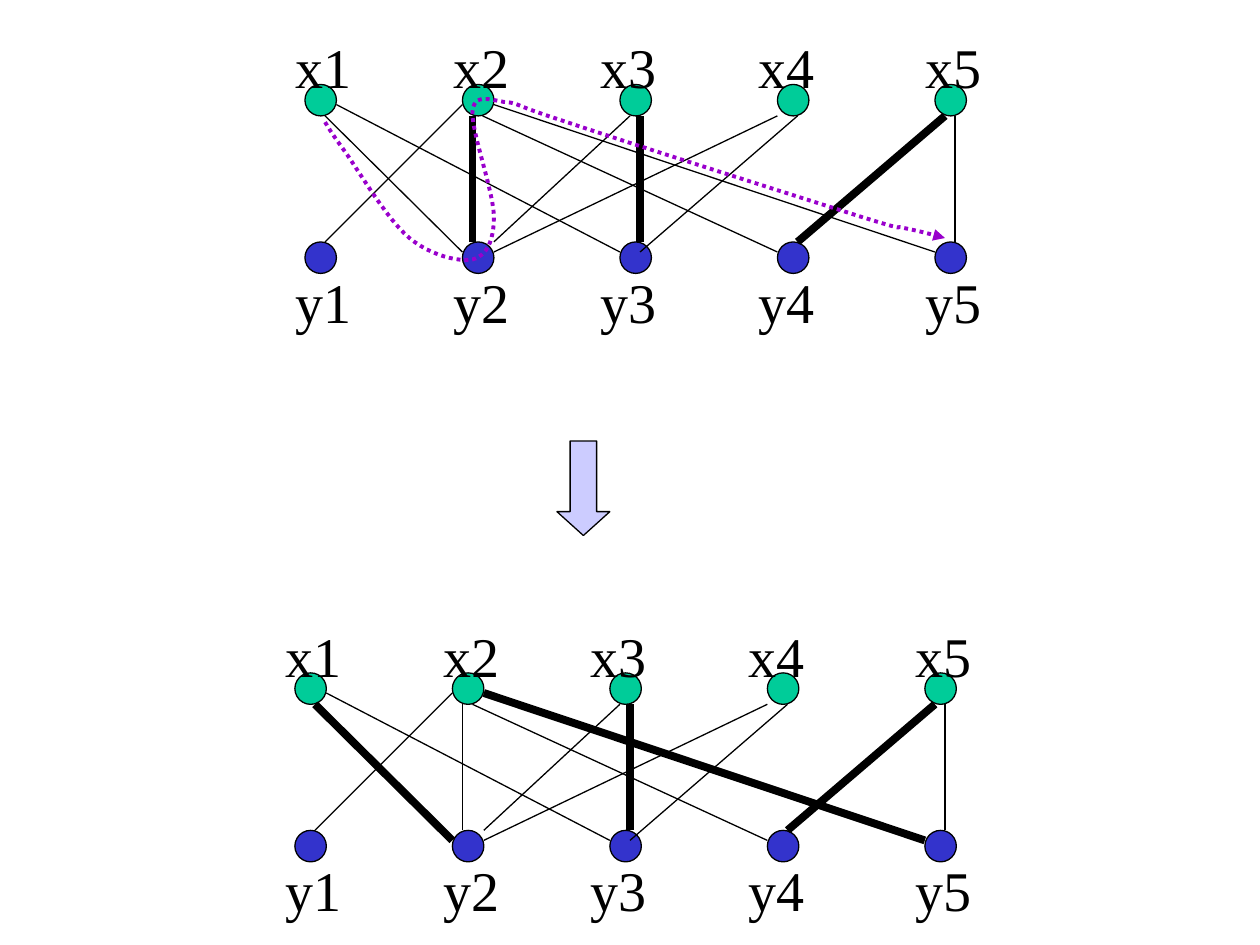
"""Build a slide showing a matching in a bipartite graph before and after an augmenting path."""
import dataclasses

import lxml.etree
import pptx
import pptx.dml.color
import pptx.enum.dml
import pptx.enum.shapes
import pptx.enum.text
import pptx.oxml.ns
import pptx.util

Inches = pptx.util.Inches
Pt = pptx.util.Pt
RGBColor = pptx.dml.color.RGBColor
Shapes = pptx.enum.shapes.MSO_SHAPE
qn = pptx.oxml.ns.qn


@dataclasses.dataclass(frozen=True)
class Theme:
    ink: RGBColor = RGBColor(0x00, 0x00, 0x00)
    x_node: RGBColor = RGBColor(0x00, 0xCC, 0x99)
    y_node: RGBColor = RGBColor(0x33, 0x33, 0xCC)
    arrow: RGBColor = RGBColor(0xCC, 0xCC, 0xFF)
    augmenting: RGBColor = RGBColor(0x99, 0x00, 0xCC)
    font: str = "Times New Roman"
    label_size: Pt = Pt(32)
    thin: Pt = Pt(0.75)
    matched: Pt = Pt(4.5)
    path_width: Pt = Pt(2.25)


theme = Theme()
presentation = pptx.Presentation()
presentation.slide_width = Inches(10)
presentation.slide_height = Inches(7.5)
slide = presentation.slides.add_slide(presentation.slide_layouts[6])


def add_filled_shape(kind, left, top, width, height, color):
    shape = slide.shapes.add_shape(kind, Inches(left), Inches(top), Inches(width), Inches(height))
    shape.shadow.inherit = False
    shape.fill.solid()
    shape.fill.fore_color.rgb = color
    shape.line.color.rgb = theme.ink
    shape.line.width = theme.thin
    return shape


label_lefts = [2.25, 3.5, 4.67, 5.92, 7.25]
rows = [("x", 0.67, 0.17, theme.x_node), ("y", 1.92, 2.03, theme.y_node)]
edges = {
    "x1-y2": (2.58, 0.92, 3.67, 2),
    "x1-y3": (2.67, 0.83, 4.92, 2),
    "x2-y1": (3.67, 0.83, 2.58, 1.92),
    "x2-y4": (3.83, 0.92, 6.17, 2),
    "x2-y5": (3.92, 0.83, 7.42, 2),
    "x2-y2": (3.75, 0.92, 3.75, 1.92),
    "x3-y2": (5, 0.92, 3.92, 1.92),
    "x3-y3": (5.08, 0.92, 5.08, 1.92),
    "y2-x4": (3.92, 2, 6.17, 0.92),
    "x4-y3": (6.33, 0.92, 5.08, 2),
    "x5-y4": (7.5, 0.92, 6.33, 1.92),
    "x5-y5": (7.58, 0.92, 7.58, 1.92),
}
graphs = [
    (0, 0, {"x2-y2", "x3-y3", "x5-y4"}),
    (-0.08, 4.67, {"x1-y2", "x2-y5", "x3-y3", "x5-y4"}),
]

for shift_x, shift_y, matching in graphs:
    for letter, node_top, label_top, color in rows:
        for index, label_left in enumerate(label_lefts):
            add_filled_shape(Shapes.OVAL, 2.42 + 1.25 * index + shift_x, node_top + shift_y,
                             0.25, 0.25, color)
            label = slide.shapes.add_textbox(Inches(label_left + shift_x), Inches(label_top + shift_y),
                                             Inches(0.75), Inches(0.64))
            frame = label.text_frame
            frame.word_wrap = True
            frame.auto_size = pptx.enum.text.MSO_AUTO_SIZE.SHAPE_TO_FIT_TEXT
            frame.margin_top = Inches(0.09)
            frame.margin_bottom = Inches(0.04)
            paragraph = frame.paragraphs[0]
            paragraph.text = f"{letter}{index + 1}"
            paragraph.font.name = theme.font
            paragraph.font.size = theme.label_size
            paragraph.font.color.rgb = theme.ink

    for name, (start_x, start_y, end_x, end_y) in edges.items():
        edge = slide.shapes.add_connector(
            pptx.enum.shapes.MSO_CONNECTOR.STRAIGHT,
            Inches(start_x + shift_x), Inches(start_y + shift_y),
            Inches(end_x + shift_x), Inches(end_y + shift_y))
        edge.line.color.rgb = theme.ink
        edge.line.width = theme.matched if name in matching else theme.thin
        lxml.etree.SubElement(edge._element.spPr, qn("a:effectLst"))

down_arrow = add_filled_shape(Shapes.DOWN_ARROW, 4.42, 3.5, 0.42, 0.75, theme.arrow)
down_arrow.adjustments[0] = 0.5
down_arrow.adjustments[1] = 0.45

path_start = (2.58, 0.97)
path_curves = [
    ((2.61, 1.02), (2.64, 1.07), (2.75, 1.22)),
    ((2.86, 1.38), (3.08, 1.75), (3.25, 1.89)),
    ((3.42, 2.03), (3.64, 2.08), (3.75, 2.06)),
    ((3.86, 2.03), (3.92, 1.92), (3.92, 1.72)),
    ((3.92, 1.53), (3.74, 1.04), (3.75, 0.89)),
    ((3.76, 0.74), (3.88, 0.79), (4, 0.81)),
    ((4.13, 0.82), (4.03, 0.82), (4.5, 0.97)),
    ((4.97, 1.13), (6.39, 1.58), (6.83, 1.72)),
    ((7.28, 1.86), (7.06, 1.78), (7.17, 1.81)),
    ((7.28, 1.83), (7.39, 1.86), (7.5, 1.89)),
]
steps = 12
points = []
curve_start = path_start
for control_1, control_2, curve_end in path_curves:
    for step in range(1, steps + 1):
        t = step / steps
        points.append(tuple(
            Inches((1 - t) ** 3 * a + 3 * (1 - t) ** 2 * t * b + 3 * (1 - t) * t ** 2 * c + t ** 3 * d)
            for a, b, c, d in zip(curve_start, control_1, control_2, curve_end)))
    curve_start = curve_end

builder = slide.shapes.build_freeform(Inches(path_start[0]), Inches(path_start[1]))
builder.add_line_segments(points, close=False)
augmenting_path = builder.convert_to_shape()
augmenting_path.shadow.inherit = False
augmenting_path.fill.background()
augmenting_path.line.color.rgb = theme.augmenting
augmenting_path.line.width = theme.path_width
augmenting_path.line.dash_style = pptx.enum.dml.MSO_LINE.ROUND_DOT
line_element = augmenting_path._element.spPr.find(qn("a:ln"))
lxml.etree.SubElement(line_element, qn("a:tailEnd"), type="triangle")

presentation.save("out.pptx")
